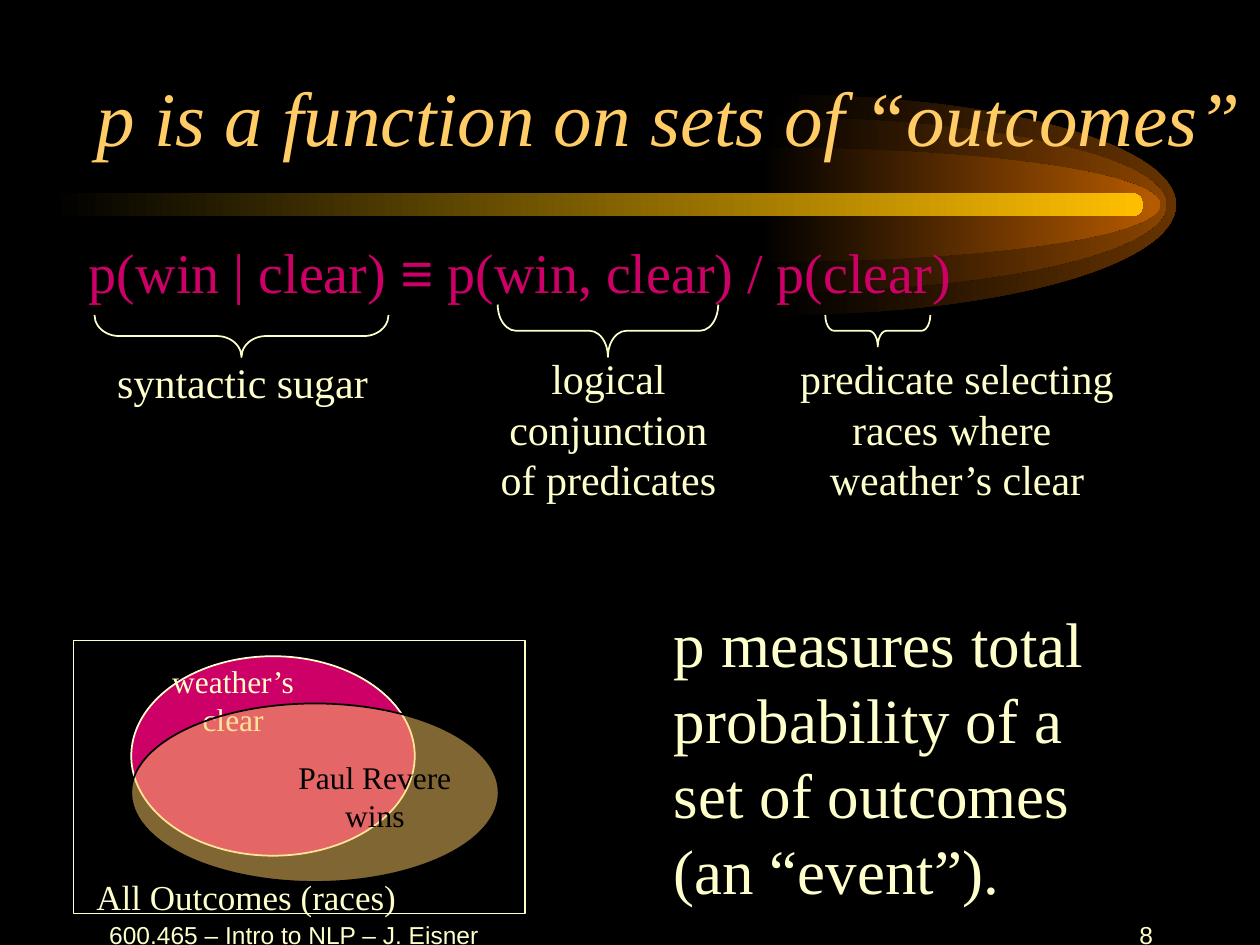
from dataclasses import dataclass
from math import cos, pi, sin

from lxml.etree import SubElement
from pptx import Presentation
from pptx.dml.color import RGBColor
from pptx.enum.shapes import MSO_SHAPE as Shape
from pptx.enum.text import MSO_ANCHOR as Anchor, PP_ALIGN as Align
from pptx.oxml.ns import qn
from pptx.util import Inches, Pt

GRID = Inches(1) // 12  # the page is 120 columns by 90 rows


@dataclass(frozen=True)
class Theme:
    back: str = "000000"
    text: str = "FFFFCC"
    title: str = "FFCC66"
    accent: str = "CC0066"
    bar: str = "FFBF00"
    glows: tuple = ("663300", "894400", "B75B00")
    serif: str = "Times New Roman"
    sans: str = "Arial"
    title_size: int = 44
    measure_size: int = 36
    formula_size: int = 32
    caption_size: int = 24
    outcomes_size: int = 20
    set_size: int = 18
    footer_size: int = 14


THEME = Theme()


@dataclass(frozen=True)
class Box:
    col: float
    row: float
    cols: float
    rows: float

    def inner(self, col, row, cols, rows):
        return Box(self.col + col, self.row + row, cols, rows)

    @property
    def frame(self):
        return [round(n * GRID) for n in (self.col, self.row, self.cols, self.rows)]


def color(code):
    return RGBColor.from_string(code)


def write(holder, lines, size, ink=THEME.text, font=THEME.serif, align=Align.LEFT,
          anchor=Anchor.TOP, italic=False, wrap=False):
    """Fill a shape with lines; a line is a string or a list of (text, font) spans."""
    frame = holder.text_frame
    frame.word_wrap, frame.vertical_anchor = wrap, anchor
    for index, line in enumerate(lines):
        para = frame.paragraphs[0] if index == 0 else frame.add_paragraph()
        para.alignment = align
        for text, face in [(line, font)] if isinstance(line, str) else line:
            span = para.add_run()
            span.text = text
            span.font.name, span.font.size = face, Pt(size)
            span.font.italic = italic
            span.font.color.rgb = color(ink)


def add_text(page, box, lines, size, **style):
    write(page.shapes.add_textbox(*box.frame), lines, size, **style)


def paint(shape, fill=None, line=None, alpha=None):
    shape.shadow.inherit = False
    if fill:
        shape.fill.solid()
        shape.fill.fore_color.rgb = color(fill)
    else:
        shape.fill.background()
    if alpha:
        code = shape.fill._xPr.find(f"{qn('a:solidFill')}/{qn('a:srgbClr')}")
        SubElement(code, qn("a:alpha"), val=str(alpha * 1000))
    if line:
        shape.line.color.rgb = color(line)
        shape.line.width = Pt(1)
    else:
        shape.line.fill.background()


def fade(shape, end):
    paint(shape)
    shape.fill.gradient()
    shape.fill.gradient_angle = 0
    for stop, code in zip(shape.fill.gradient_stops, (THEME.back, end)):
        stop.color.rgb = color(code)


def add_shape(page, kind, box, **look):
    shape = page.shapes.add_shape(kind, *box.frame)
    paint(shape, **look)
    return shape


def add_comet(page, box):
    # Nested half ellipses, then the bar that ends inside them
    glow_boxes = [(68.9, 0, 38.1, 21), (68, 2.15, 38.1, 16.7), (67.4, 5.05, 38.1, 10.9)]
    for place, end in zip(glow_boxes, THEME.glows):
        left, top, width, height = box.inner(*place).frame
        arc = [(left + width * cos(turn), top + height / 2 * (1 + sin(turn)))
               for turn in (pi * (step / 60 - 0.5) for step in range(61))]
        builder = page.shapes.build_freeform(round(arc[0][0]), round(arc[0][1]))
        builder.add_line_segments([(round(x), round(y)) for x, y in arc[1:]], close=True)
        fade(builder.convert_to_shape(), end)
    bar = page.shapes.add_shape(Shape.ROUNDED_RECTANGLE, *box.inner(0, 9.4, 103.9, 2.2).frame)
    bar.adjustments[0] = 0.5
    fade(bar, THEME.bar)


def add_title(page, box, text):
    title = page.shapes.title
    title.left, title.top, title.width, title.height = box.frame
    write(title, [text], THEME.title_size, ink=THEME.title, italic=True,
          anchor=Anchor.BOTTOM, wrap=True)


def add_brace(page, box):
    """Brace pointing down, spanning the box: a left brace turned by a quarter."""
    span, depth = box.cols, box.rows
    upright = box.inner((span - depth) / 2, (depth - span) / 2, depth, span)
    brace = add_shape(page, Shape.LEFT_BRACE, upright, line=THEME.text)
    brace.adjustments[0] = span / 12 / depth
    brace.rotation = 270


def add_formula(page, box):
    add_text(page, box.inner(0, 0, 85.7, 7.7),
             [[("p(win | clear) ", THEME.serif), ("≡", THEME.sans),
               (" p(win, clear) / p(clear)", THEME.serif)]],
             THEME.formula_size, ink=THEME.accent)
    # Each part: brace, caption box, caption lines
    parts = [
        ((1.7, 8, 28, 4), (2.2, 11.4, 27.2, 6), ["syntactic sugar "]),
        ((71.3, 8, 10, 3), (67.7, 11, 32.3, 15.6),
         ["predicate selecting", "races where ", "weather’s clear"]),
        ((40.1, 7, 21, 5), (34.1, 11, 33.1, 10.8), ["logical conjunction", "of predicates"]),
    ]
    for brace, caption, lines in parts:
        add_brace(page, box.inner(*brace))
        add_text(page, box.inner(*caption), lines, THEME.caption_size, align=Align.CENTER)


def add_venn(page, box):
    label = dict(size=THEME.set_size, align=Align.CENTER)
    # The clear set and its label lie below the translucent winning set
    add_shape(page, Shape.OVAL, box.inner(5.5, 1.5, 27, 19), fill=THEME.accent, line=THEME.text)
    add_text(page, box.inner(7.2, 1.5, 16, 8.4), ["weather’s", "clear"], **label)
    add_shape(page, Shape.RECTANGLE, box, line=THEME.text)
    add_shape(page, Shape.OVAL, box.inner(5.5, 6, 35, 17), fill=THEME.title,
              line=THEME.back, alpha=50)
    add_text(page, box.inner(18.7, 10.6, 20, 8.4), ["Paul Revere", "wins"],
             ink=THEME.back, **label)
    add_text(page, box.inner(1, 21.8, 31, 5.3), ["All Outcomes (races)"], THEME.outcomes_size)


def add_footer(page, box):
    style = dict(font=THEME.sans, anchor=Anchor.MIDDLE, wrap=True)
    add_text(page, box.inner(0, 0, 38, 6), ["600.465 – Intro to NLP – J. Eisner"],
             THEME.footer_size, align=Align.CENTER, **style)
    add_text(page, box.inner(77, 0, 25, 6), ["8"], THEME.footer_size, align=Align.RIGHT, **style)


def main():
    deck = Presentation()
    deck.slide_width, deck.slide_height = 120 * GRID, 90 * GRID
    page = deck.slides.add_slide(deck.slide_layouts[5])
    page.background.fill.solid()
    page.background.fill.fore_color.rgb = color(THEME.back)

    add_comet(page, Box(5, 9, 107, 21))
    # Bring the title in front of the comet
    title = page.shapes.title._element
    title.getparent().append(title)
    add_title(page, Box(8, 1, 112, 15), "p is a function on sets of “outcomes”")
    add_footer(page, Box(9, 86, 102, 6))
    add_venn(page, Box(7, 61, 43, 26))
    add_formula(page, Box(7.3, 22, 100, 27))
    add_text(page, Box(63, 57, 41.4, 30),
             ["p measures total", "probability of a", "set of outcomes", "(an “event”)."],
             THEME.measure_size)
    deck.save("out.pptx")


if __name__ == "__main__":
    main()
